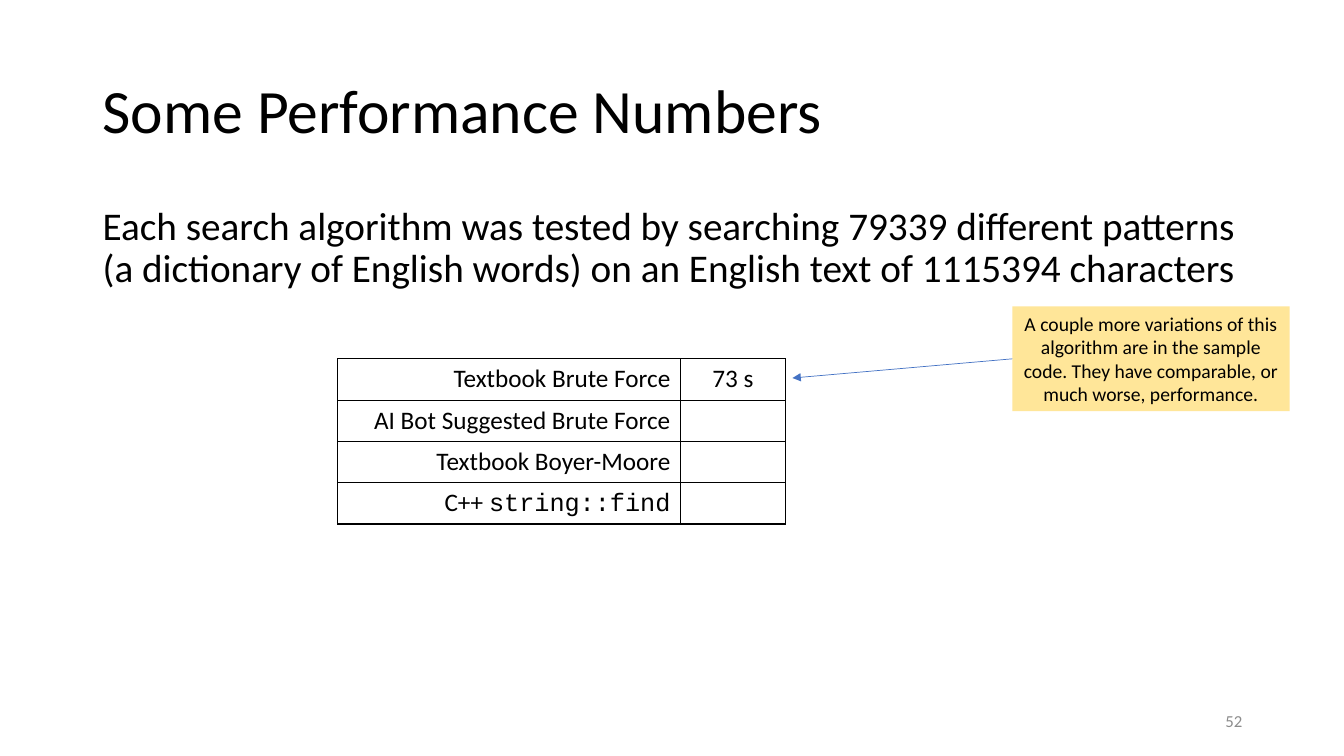
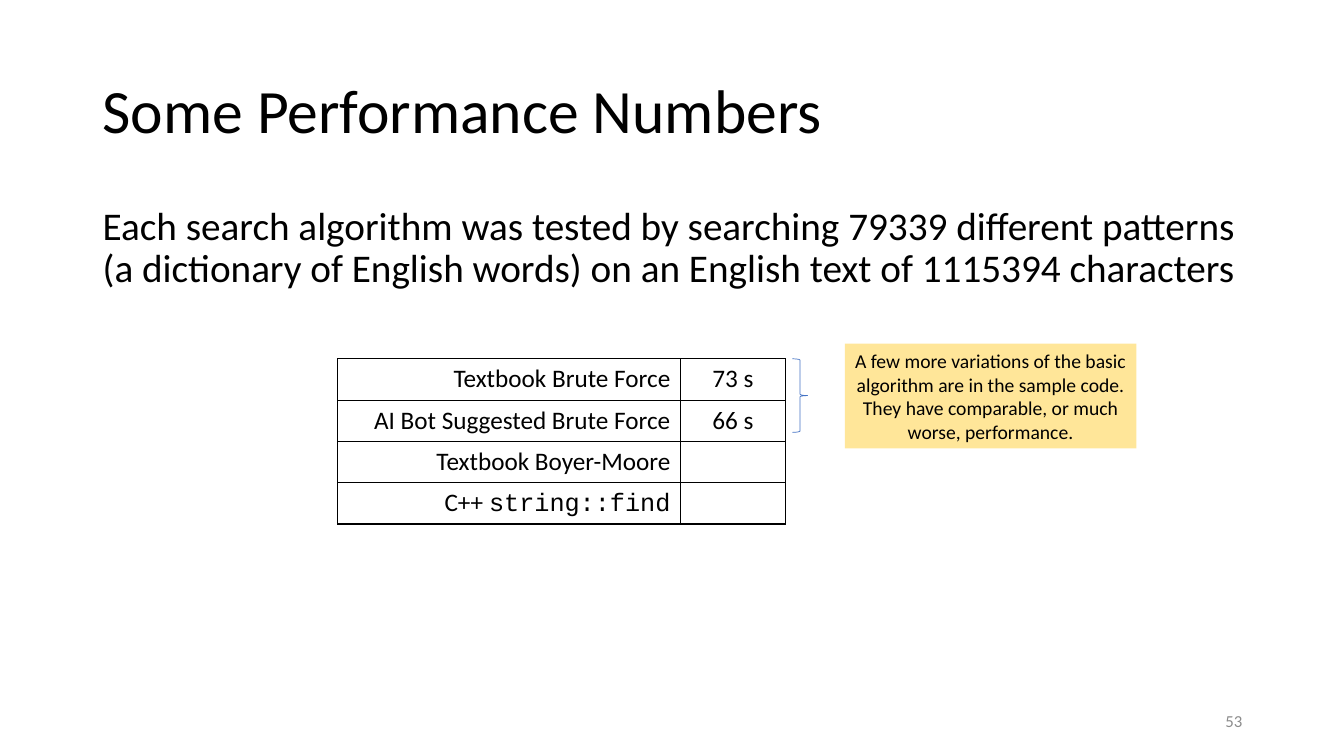
from lxml import etree
from pptx import Presentation
from pptx.dml.color import RGBColor
from pptx.enum.shapes import MSO_CONNECTOR, MSO_SHAPE
from pptx.enum.text import MSO_ANCHOR, PP_ALIGN
from pptx.oxml.ns import qn
from pptx.util import Inches, Pt

LEFT, MID, RIGHT = PP_ALIGN.LEFT, PP_ALIGN.CENTER, PP_ALIGN.RIGHT
TOP, MIDDLE = MSO_ANCHOR.TOP, MSO_ANCHOR.MIDDLE
RECT, BRACE = MSO_SHAPE.RECTANGLE, MSO_SHAPE.RIGHT_BRACE
STRAIGHT = MSO_CONNECTOR.STRAIGHT

BLACK = RGBColor(0x00, 0x00, 0x00)
GREY = RGBColor(0x8C, 0x8C, 0x8C)
BLUE = RGBColor(0x44, 0x72, 0xC4)
CREAM = RGBColor(0xFF, 0xE6, 0x99)
SANS, MONO = "Calibri", "Courier New"

EDGE, WIDE = 0.92, 11.5
GRID_X, GRID_Y, ROW = 3.35, 3.56, 0.41
COLS = (3.4, 1.04)
MARK_X = 7.86

TITLE = "Some Performance Numbers"
INTRO = ("Each search algorithm was tested by searching 79339 different patterns "
         "(a dictionary of English words) on an English text of 1115394 characters")
TESTS = ("Textbook Brute Force", "AI Bot Suggested Brute Force",
         "Textbook Boyer-Moore", "C++ ")
CODE = "string::find"
TAIL = "algorithm are in the sample code. They have comparable, or much worse, performance."

# page number, times shown so far, note opening, note box
PAGES = (
    (52, ("73 s",), "A couple more variations of this ", (10.04, 3.04, 2.75, 1.04)),
    (53, ("73 s", "66 s"), "A few more variations of the basic ", (8.38, 3.41, 2.89, 1.04)),
)


def write(frame, text, size, align=LEFT, color=BLACK, code=""):
    """Fill a text frame with one styled paragraph, ending in optional code."""
    para = frame.paragraphs[0]
    para.text = text
    para.alignment = align
    if code:
        para.add_run().text = code
    for run in para.runs:
        run.font.size = Pt(size)
        run.font.color.rgb = color
        run.font.name = MONO if run.text == code else SANS
    return para


def add_text(slide, box, text, size, anchor, align=LEFT, color=BLACK):
    """Add a wrapped text box and return its paragraph."""
    frame = slide.shapes.add_textbox(*map(Inches, box)).text_frame
    frame.word_wrap = True
    frame.vertical_anchor = anchor
    return write(frame, text, size, align, color)


deck = Presentation()
deck.slide_width, deck.slide_height = Inches(13.33), Inches(7.5)

for page, times, start, box in PAGES:
    slide = deck.slides.add_slide(deck.slide_layouts[6])
    shapes = slide.shapes

    title = add_text(slide, (EDGE, 0.4, WIDE, 1.45), TITLE, 44, MIDDLE)
    intro = add_text(slide, (EDGE, 2, WIDE, 4.76), INTRO, 28, TOP)
    title.line_spacing = intro.line_spacing = 0.9
    intro.space_before = Pt(10)
    add_text(slide, (EDGE + WIDE - 3, 6.95, 3, 0.4), str(page), 12, MIDDLE, RIGHT, GREY)

    size = (sum(COLS), ROW * len(TESTS))
    table = shapes.add_table(len(TESTS), len(COLS),
                             *map(Inches, (GRID_X, GRID_Y, *size))).table
    table.first_row = table.horz_banding = False
    for col, width in zip(table.columns, COLS):
        col.width = Inches(width)
    for i, name in enumerate(TESTS):
        code = CODE if i == len(TESTS) - 1 else ""
        write(table.cell(i, 0).text_frame, name, 18, RIGHT, code=code)
        if i < len(times):
            write(table.cell(i, 1).text_frame, times[i], 18, MID)
    for cell in table.iter_cells():
        props = cell._tc.get_or_add_tcPr()
        for side in ("a:lnL", "a:lnR", "a:lnT", "a:lnB"):
            line = etree.SubElement(props, qn(side), w=str(Pt(1)))
            fill = etree.SubElement(line, qn("a:solidFill"))
            etree.SubElement(fill, qn("a:srgbClr"), val=str(BLACK))
        cell.fill.background()

    note = shapes.add_shape(RECT, *map(Inches, box))
    note.shadow.inherit = False
    note.fill.solid()
    note.fill.fore_color.rgb = CREAM
    note.line.fill.background()
    note.text_frame.word_wrap = True
    write(note.text_frame, start + TAIL, 14, MID)

    if len(times) == 1:
        ends = (box[0], box[1] + box[3] / 2, MARK_X, 3.75)
        mark = shapes.add_connector(STRAIGHT, *map(Inches, ends))
        etree.SubElement(mark.line._get_or_add_ln(), qn("a:tailEnd"), type="triangle")
        etree.SubElement(mark._element.spPr, qn("a:effectLst"))
    else:
        mark = shapes.add_shape(BRACE, *map(Inches, (MARK_X, GRID_Y, 0.15, 0.73)))
        mark.shadow.inherit = False
        mark.fill.background()
    mark.line.color.rgb = BLUE
    mark.line.width = Pt(0.5)

deck.save("out.pptx")
